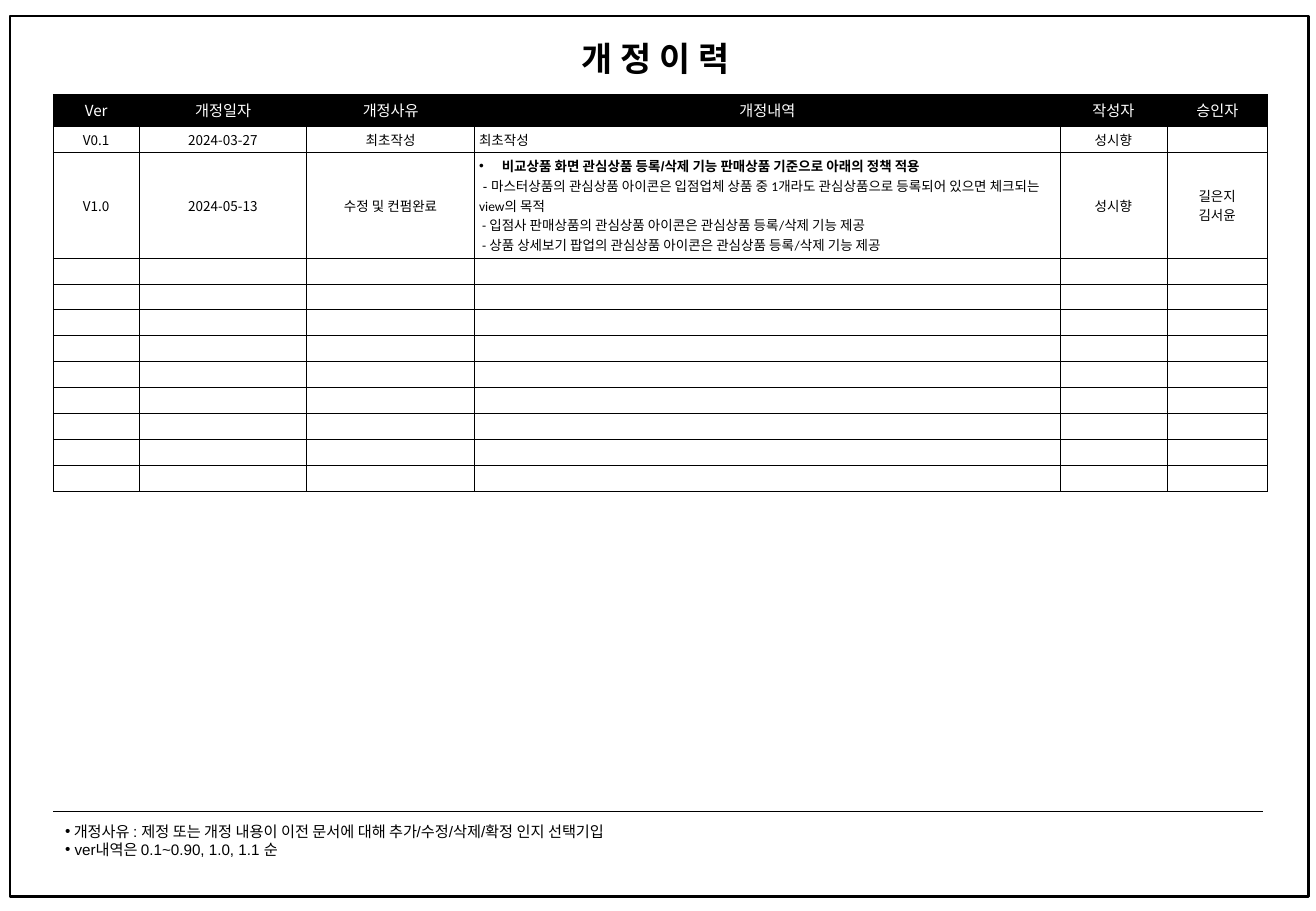
from dataclasses import dataclass

from lxml.etree import SubElement
from pptx import Presentation
from pptx.dml.color import RGBColor
from pptx.enum.shapes import MSO_CONNECTOR as Connector, MSO_SHAPE as Preset
from pptx.enum.text import MSO_ANCHOR as Anchor, PP_ALIGN as Align
from pptx.oxml.ns import qn
from pptx.util import Pt


@dataclass(frozen=True)
class Theme:
    black: RGBColor = RGBColor(0, 0, 0)
    white: RGBColor = RGBColor(255, 255, 255)
    korean: str = "Noto Sans CJK KR"
    arial: str = "Arial"
    calibri: str = "Calibri"
    title: float = 20
    label: float = 9
    body: float = 8


theme = Theme()


def add_run(paragraph, text, size, name=theme.korean, bold=False, color=theme.black):
    run = paragraph.add_run()
    run.text = text
    for attribute, value in {"size": Pt(size), "name": name, "bold": bold}.items():
        setattr(run.font, attribute, value)
    run.font.color.rgb = color
    SubElement(run.font._element, qn("a:ea"), typeface=theme.korean)


def add_bullet(paragraph, indent=0):
    properties = paragraph._p.get_or_add_pPr()
    properties.set("marL", str(Pt(indent)))
    properties.set("indent", str(-Pt(indent)))
    SubElement(properties, qn("a:buFont"), typeface=theme.arial)
    SubElement(properties, qn("a:buChar"), char="•")


presentation = Presentation()
presentation.slide_width, presentation.slide_height = Pt(780), Pt(540)
slide = presentation.slides.add_slide(presentation.slide_layouts[6])

# Title and page frame
title = slide.shapes.add_textbox(Pt(5.8), Pt(18.7), Pt(765.4), Pt(31.7)).text_frame
title.word_wrap = True
title.paragraphs[0].alignment = Align.CENTER
add_run(title.paragraphs[0], "개 정 이 력", theme.title, bold=True)

frame = slide.shapes.add_shape(Preset.RECTANGLE, Pt(5.8), Pt(9.4), Pt(769.7), Pt(522))
frame.shadow.inherit = False
frame.fill.background()
frame.line.color.rgb = theme.black
frame.line.width = Pt(1.5)

# Footer rule and notes
rule = slide.shapes.add_connector(Connector.STRAIGHT, Pt(31.5), Pt(481), Pt(748.8), Pt(481))
rule.line.color.rgb = theme.black
rule.line.width = Pt(0.75)
SubElement(rule._element.spPr, qn("a:effectLst"))

notes = slide.shapes.add_textbox(Pt(31.5), Pt(483.8), Pt(378), Pt(28.8)).text_frame
notes.word_wrap = False
note_lines = [
    " 개정사유 : 제정 또는 개정 내용이 이전 문서에 대해 추가/수정/삭제/확정 인지 선택기입",
    " ver내역은 0.1~0.90, 1.0, 1.1 순",
]
for index, line in enumerate(note_lines):
    paragraph = notes.paragraphs[0] if index == 0 else notes.add_paragraph()
    add_bullet(paragraph)
    add_run(paragraph, line, theme.label, theme.arial)

# Revision table: a cell is a list of paragraphs, a paragraph a list of (text, font, bold)
policy = [
    [("비교상품 화면 관심상품 등록/삭제 기능 판매상품 기준으로 아래의 정책 적용", theme.arial, True)],
    [(" - 마스터상품의 ", theme.arial, False),
     ("관심상품 아이콘은 입점업체 상품 중 1개라도 관심상품으로 등록되어 있으면 체크되는 view의 목적",
      theme.calibri, False)],
    [(" - 입점사 판매상품의 관심상품 아이콘은 관심상품 등록/삭제 기능 제공", theme.calibri, False)],
    [(" - 상품 상세보기 팝업의 관심상품 아이콘은 관심상품 등록/삭제 기능 제공", theme.calibri, False)],
]
revisions = [
    ["Ver", "개정일자", "개정사유", "개정내역", "작성자", "승인자"],
    ["V0.1", "2024-03-27", "최초작성", "최초작성", "성시향", ""],
    ["V1.0", "2024-05-13", "수정 및 컨펌완료", policy, "성시향", "길은지\n김서윤"],
] + [[""] * 6] * 9
column_widths = [51, 99.4, 99.4, 347, 63.4, 59.8]
row_heights = [18.7, 15.4, 62.8] + [15.35] * 9
DETAIL_COLUMN = 3

table = slide.shapes.add_table(
    len(revisions), len(column_widths), Pt(31.5), Pt(56.1),
    Pt(sum(column_widths)), Pt(sum(row_heights))).table
table.horz_banding = False
for column, width in zip(table.columns, column_widths):
    column.width = Pt(width)
for row, height in zip(table.rows, row_heights):
    row.height = Pt(height)

cell_format = {
    "vertical_anchor": Anchor.MIDDLE,
    "margin_left": Pt(2.7), "margin_right": Pt(2.7),
    "margin_top": Pt(1.8), "margin_bottom": Pt(1.8),
}
for row_index, revision in enumerate(revisions):
    is_header = row_index == 0
    size = theme.label if is_header else theme.body
    color = theme.white if is_header else theme.black
    for column_index, content in enumerate(revision):
        cell = table.cell(row_index, column_index)
        for attribute, value in cell_format.items():
            setattr(cell, attribute, value)
        for side in ("a:lnL", "a:lnR", "a:lnT", "a:lnB"):
            border = SubElement(cell._tc.get_or_add_tcPr(), qn(side), w=str(Pt(0.5)))
            SubElement(SubElement(border, qn("a:solidFill")), qn("a:srgbClr"), val=str(theme.black))
        cell.fill.solid()
        cell.fill.fore_color.rgb = theme.black if is_header else theme.white

        if isinstance(content, str):
            content = [[(line, theme.korean, False)] for line in content.split("\n")]
        for index, runs in enumerate(content):
            text_frame = cell.text_frame
            paragraph = text_frame.paragraphs[0] if index == 0 else text_frame.add_paragraph()
            centred = is_header or column_index != DETAIL_COLUMN
            paragraph.alignment = Align.CENTER if centred else Align.LEFT
            if runs is policy[0]:
                add_bullet(paragraph, 13.5)
            for text, name, bold in runs:
                if text:
                    add_run(paragraph, text, size, name, bold, color)
                else:
                    SubElement(paragraph._p, qn("a:endParaRPr"), sz=str(size * 100))

presentation.save("out.pptx")
